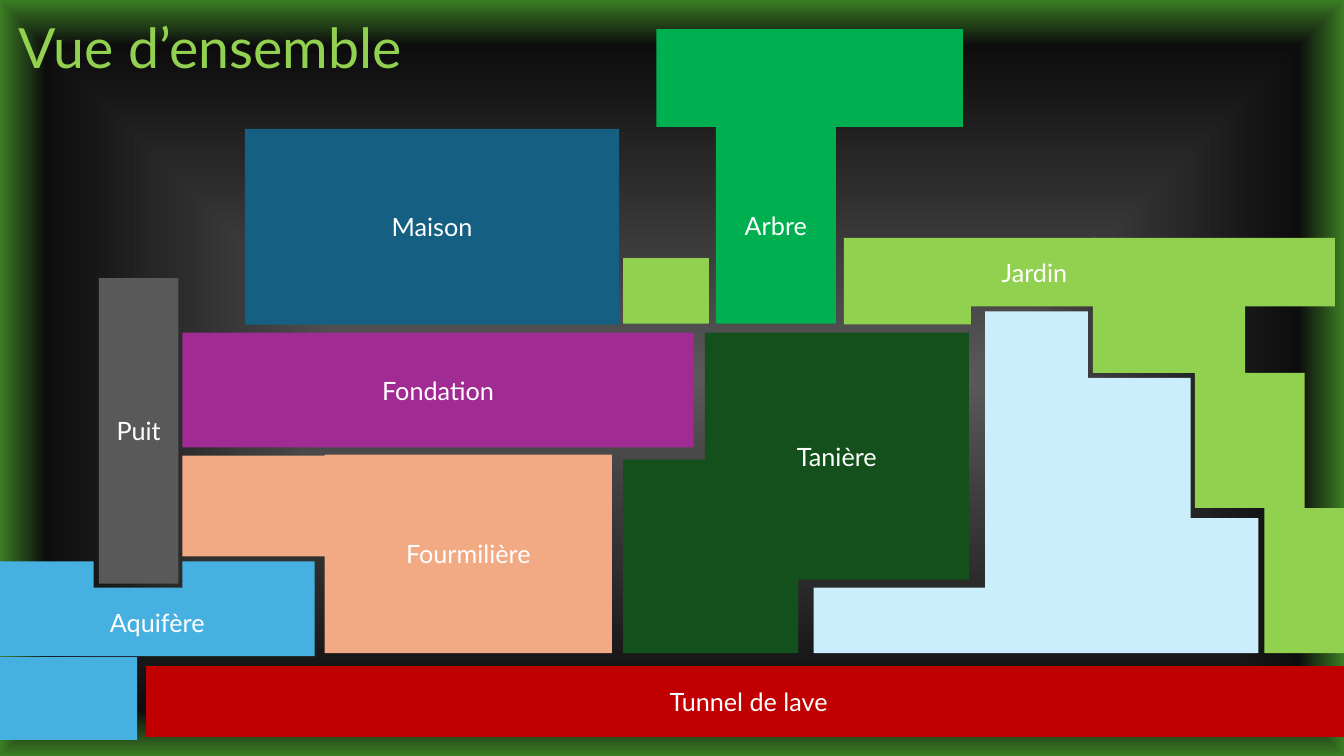
from dataclasses import dataclass

from lxml import etree
from pptx import Presentation
from pptx.dml.color import RGBColor
from pptx.enum.shapes import MSO_SHAPE
from pptx.enum.text import MSO_ANCHOR, PP_ALIGN
from pptx.oxml import parse_xml
from pptx.oxml.ns import nsdecls, qn
from pptx.shapes.autoshape import Shape
from pptx.slide import Slide
from pptx.util import Emu, Pt

RECT = MSO_SHAPE.RECTANGLE
MIDDLE = MSO_ANCHOR.MIDDLE
LEFT, CENTER = PP_ALIGN.LEFT, PP_ALIGN.CENTER
PX = 9144


@dataclass(frozen=True)
class Theme:
    """Colours, font and type sizes of the slide."""
    font: str = "Lato"
    title: float = 39.6
    label: float = 18
    white: str = "FFFFFF"
    lime: str = "92D050"
    blue: str = "156082"
    green: str = "00B050"
    purple: str = "A02B93"
    red: str = "C00000"
    forest: str = "13501B"
    peach: str = "F2AA84"
    ice: str = "CAEEFB"
    grey: str = "595959"
    water: str = "46B1E1"
    glow: tuple[tuple[int, str], ...] = ((0, "595959"), (88, "0D0D0D"), (100, "3B7D23"))


@dataclass(frozen=True)
class Box:
    """A rectangle in px."""
    left: int
    top: int
    width: int
    height: int

    def emu(self) -> tuple[Emu, ...]:
        """Give the four lengths in EMU."""
        return tuple(Emu(n * PX) for n in (self.left, self.top, self.width, self.height))


@dataclass(frozen=True)
class Room:
    """One area of the map; its first box carries the label."""
    label: str
    color: str
    boxes: tuple[Box, ...]


THEME = Theme()
ROOMS = (
    Room("Maison", THEME.blue, (Box(243, 128, 371, 194),)),
    Room("Arbre", THEME.green, (Box(710, 126, 119, 195), Box(651, 29, 304, 97))),
    Room("Fondation", THEME.purple, (Box(181, 330, 507, 114),)),
    Room("Tunnel de lave", THEME.red, (Box(145, 661, 1195, 70),)),
    Room("Tanière", THEME.forest, (Box(699, 330, 262, 245), Box(618, 456, 174, 192))),
    Room("Fourmilière", THEME.peach, (Box(322, 451, 285, 197), Box(181, 452, 142, 100))),
    Room("", THEME.ice, (
        Box(977, 309, 102, 339), Box(1079, 375, 102, 273),
        Box(807, 583, 170, 65), Box(1180, 514, 68, 134))),
    Room("Jardin", THEME.lime, (
        Box(963, 236, 126, 68), Box(837, 236, 126, 86), Box(1084, 236, 151, 134),
        Box(1185, 370, 109, 134), Box(1254, 504, 83, 144), Box(1235, 236, 89, 68))),
    Room("Puit", THEME.grey, (Box(98, 276, 79, 303),)),
    Room("", THEME.lime, (Box(618, 256, 85, 65),)),
    Room("Aquifère", THEME.water, (
        Box(0, 583, 312, 68), Box(0, 652, 136, 82),
        Box(181, 557, 131, 27), Box(0, 557, 93, 27))),
)


def write(shape: Shape, text: str, size: float, color: str, align: PP_ALIGN) -> None:
    """Put one formatted line of text in a shape."""
    frame = shape.text_frame
    frame.text = text
    frame.word_wrap = True
    frame.vertical_anchor = MIDDLE
    line = frame.paragraphs[0]
    line.alignment = align
    font = line.runs[0].font
    font.name = THEME.font
    font.size = Pt(size)
    font.color.rgb = RGBColor.from_string(color)


def paint(slide: Slide) -> None:
    """Fill the background with a glow that spreads from the centre."""
    slide.background.fill.gradient()
    old = next(slide.element.iter(qn("a:gradFill")))
    new = parse_xml(
        f'<a:gradFill {nsdecls("a")} rotWithShape="1"><a:gsLst/><a:path path="rect">'
        '<a:fillToRect l="50000" t="50000" r="50000" b="50000"/></a:path></a:gradFill>')
    for stop, color in THEME.glow:
        mark = etree.SubElement(new[0], qn("a:gs"), pos=str(stop * 1000))
        etree.SubElement(mark, qn("a:srgbClr"), val=color)
    old.getparent().replace(old, new)


def build(slide: Slide, room: Room) -> None:
    """Draw a room, grouping its boxes when there are several."""
    shapes = slide.shapes
    if len(room.boxes) > 1:
        shapes = shapes.add_group_shape().shapes
    for index, box in enumerate(room.boxes):
        shape = shapes.add_shape(RECT, *box.emu())
        shape.shadow.inherit = False
        shape.fill.solid()
        shape.fill.fore_color.rgb = RGBColor.from_string(room.color)
        shape.line.fill.background()
        if room.label and index == 0:
            write(shape, room.label, THEME.label, THEME.white, CENTER)


def main() -> None:
    """Build and save the slide."""
    deck = Presentation()
    deck.slide_width, deck.slide_height = Emu(1333 * PX), Emu(750 * PX)
    slide = deck.slides.add_slide(deck.slide_layouts[6])
    paint(slide)
    title = slide.shapes.add_textbox(*Box(9, 12, 1313, 76).emu())
    write(title, "Vue d’ensemble", THEME.title, THEME.lime, LEFT)
    title.text_frame.paragraphs[0].line_spacing = 0.9
    for room in ROOMS:
        build(slide, room)
    deck.save("out.pptx")


if __name__ == "__main__":
    main()
